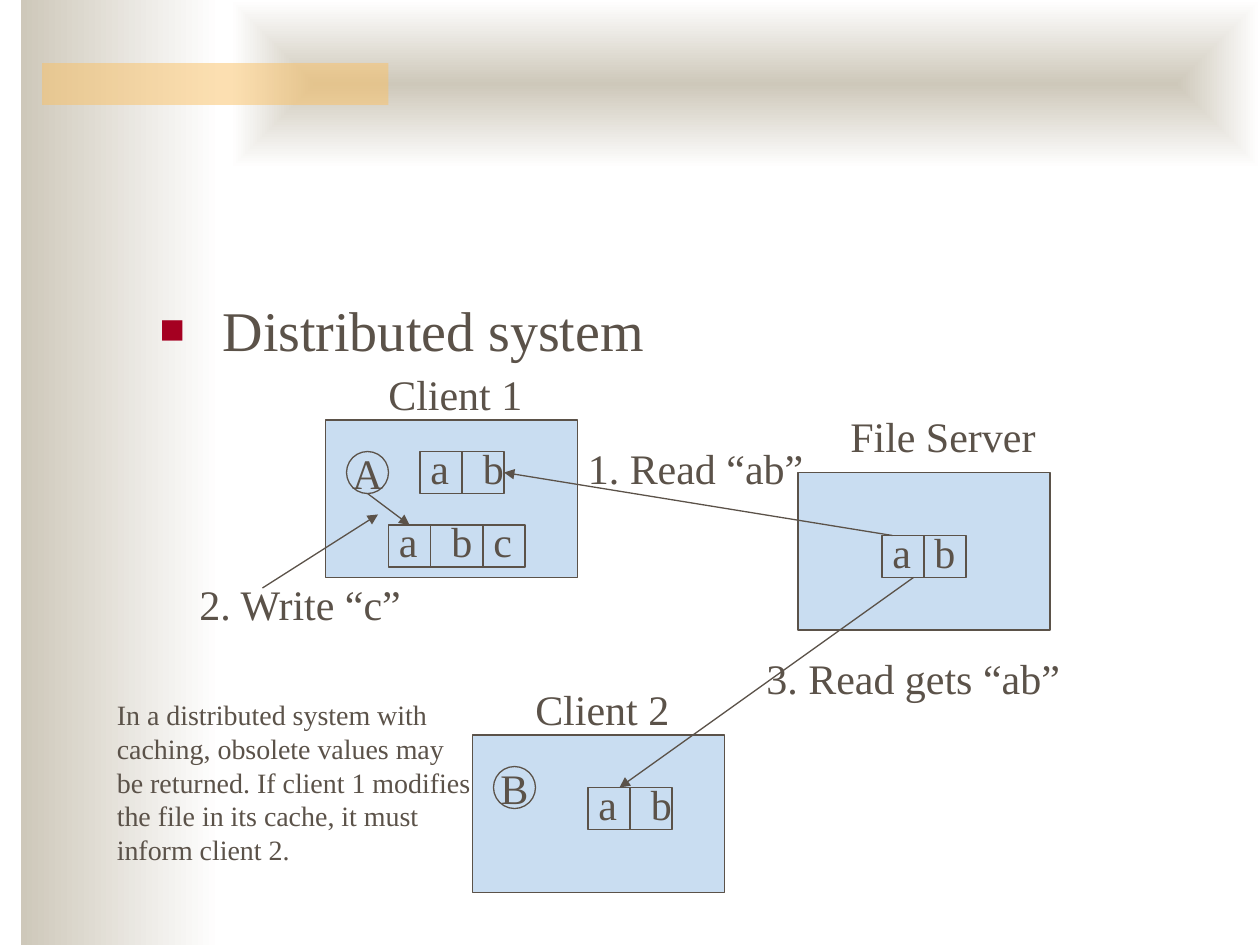
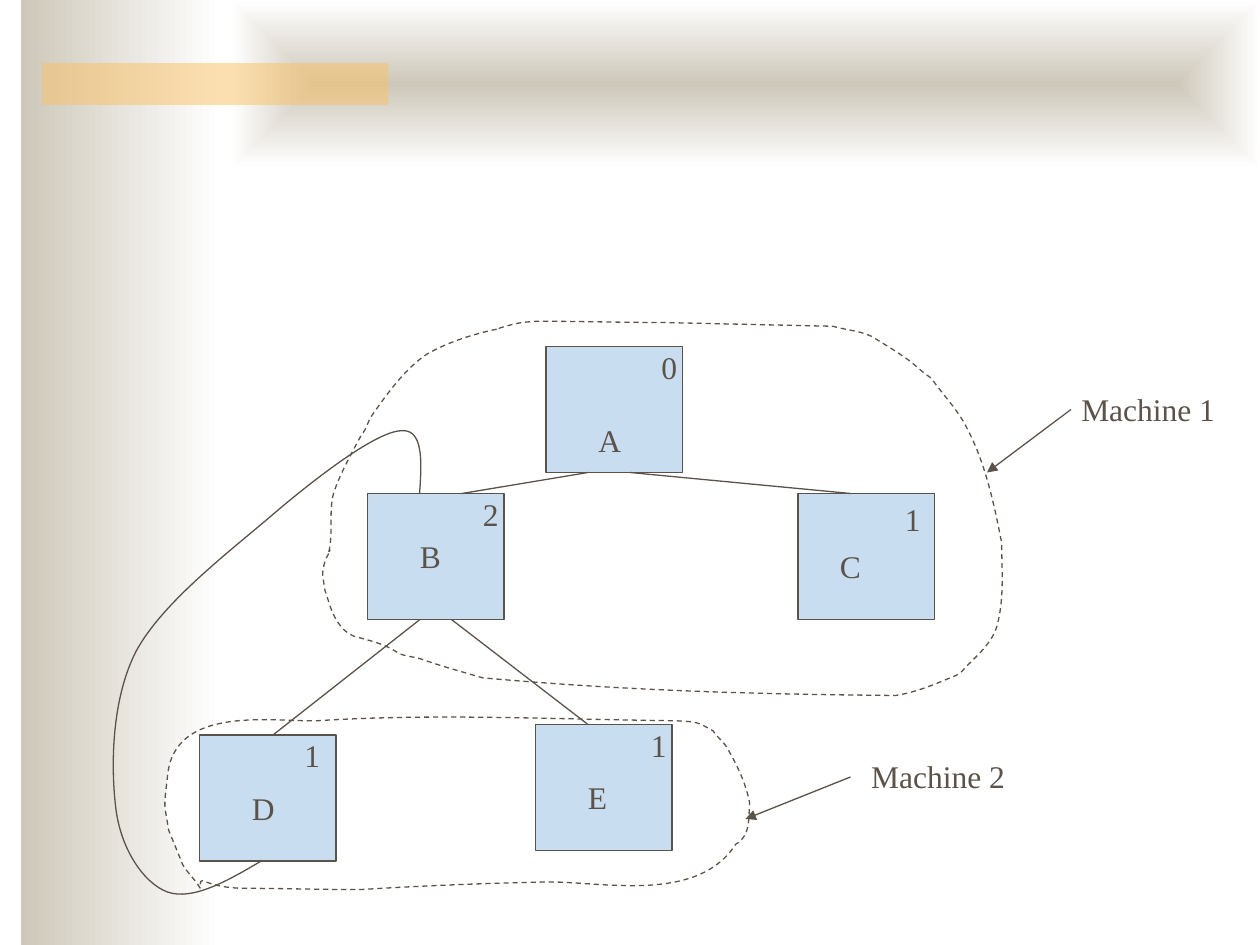
from dataclasses import dataclass

from lxml.etree import SubElement
from pptx import Presentation
from pptx.dml.color import RGBColor
from pptx.enum.dml import MSO_LINE
from pptx.enum.shapes import MSO_CONNECTOR, MSO_SHAPE
from pptx.enum.text import MSO_ANCHOR, MSO_AUTO_SIZE, PP_ALIGN
from pptx.oxml.ns import qn
from pptx.util import Inches, Pt


@dataclass(frozen=True)
class Theme:
    """Colours, font and type sizes of the deck."""
    ink: str = "5B5249"
    box: str = "C9DDF1"
    paper: str = "FFFFFF"
    band: str = "CEC8BA"
    accent: str = "FAC164"
    bullet: str = "A50021"
    font: str = "Times New Roman"
    heading: int = 32
    label: int = 24
    node: int = 18
    note: int = 16
    line: float = 0.75


THEME = Theme()
CELLS_PER_INCH = 12
HUNDREDTH = 9144

MACHINE_1 = [
    (261, 438), (265, 421), (260, 403), (266, 388), (270, 376), (281, 356), (287, 345),
    (291, 341), (292, 334), (295, 330), (307, 313), (321, 293), (339, 281),
    (355, 272), (373, 266), (391, 262), (406, 259), (386, 263), (405, 258),
    (411, 256), (423, 255), (428, 255), (460, 255), (493, 256), (525, 256),
    (570, 257), (661, 259), (661, 259), (671, 262), (687, 263), (695, 269),
    (703, 274), (710, 278), (717, 283), (725, 288), (731, 295), (739, 300),
    (748, 313), (760, 325), (767, 339), (782, 367), (789, 400), (795, 431),
    (795, 452), (797, 473), (792, 494), (789, 508), (779, 517), (769, 527),
    (765, 530), (764, 534), (759, 536), (742, 543), (729, 549), (711, 552),
    (595, 551), (495, 548), (383, 538), (366, 533), (351, 529), (334, 523),
    (328, 521), (319, 521), (314, 517), (305, 511), (292, 508), (281, 505),
    (270, 501), (264, 488), (261, 478), (260, 475), (258, 469), (258, 469),
    (256, 455), (255, 457), (258, 445), (258, 444), (265, 433), (261, 438)]
MACHINE_2 = [
    (159, 705), (155, 698), (149, 693), (145, 686), (141, 676), (138, 669), (134, 659),
    (130, 635), (130, 643), (133, 616), (138, 559), (216, 573), (252, 572),
    (346, 566), (441, 571), (536, 572), (555, 573), (553, 573), (566, 580),
    (569, 585), (575, 589), (578, 595), (586, 609), (592, 622), (595, 637),
    (594, 650), (596, 663), (584, 670), (553, 718), (476, 699), (433, 700),
    (384, 701), (335, 703), (286, 706), (255, 706), (223, 705), (192, 705),
    (159, 704), (159, 692), (159, 705)]
BACK_LINK = [
    (208, 683), (181, 699), (153, 715), (133, 708), (114, 701), (96, 674), (92, 642),
    (88, 610), (88, 556), (108, 517), (129, 478), (182, 438), (217, 408),
    (251, 379), (297, 344), (317, 342), (336, 339), (335, 365), (333, 392)]


def cells(*values):
    """Turn grid cells into lengths."""
    return [Inches(v / CELLS_PER_INCH) for v in values]


def rgb(value):
    """Return a colour from its hex digits."""
    return RGBColor.from_string(value)


def style_text(tf, size):
    """Give all runs of a text frame the theme's font and colour."""
    for p in tf.paragraphs:
        for r in p.runs:
            r.font.name, r.font.size = THEME.font, Pt(size)
            r.font.color.rgb = rgb(THEME.ink)


def style_line(sp):
    """Draw a shape or connector with the theme's thin line."""
    sp.line.color.rgb = rgb(THEME.ink)
    sp.line.width = Pt(THEME.line)


def add_box(s, col, row, width, height, kind=MSO_SHAPE.RECTANGLE):
    """Add an outlined, filled shape on the grid."""
    sp = s.shapes.add_shape(kind, *cells(col, row, width, height))
    sp.shadow.inherit = False
    sp.fill.solid()
    sp.fill.fore_color.rgb = rgb(THEME.box)
    style_line(sp)
    return sp


def add_label(s, text, col, row, width=4.4, size=THEME.label):
    """Add a text box that is raised in step with its type size."""
    rise = (size - 15) / 6 - 0.05
    height = size / 4 if "\n" not in text else 17.3
    sp = s.shapes.add_textbox(*cells(col - 0.2, row - rise, width, height))
    tf = sp.text_frame
    tf.text = text
    tf.word_wrap = False
    tf.auto_size = MSO_AUTO_SIZE.SHAPE_TO_FIT_TEXT
    style_text(tf, size)


def add_line(s, start, end, arrow=False):
    """Connect two grid points, with an arrowhead at the end if asked."""
    sp = s.shapes.add_connector(MSO_CONNECTOR.STRAIGHT, *cells(*start, *end))
    style_line(sp)
    spPr = sp.element.spPr
    if arrow:
        SubElement(spPr.find(qn("a:ln")), qn("a:tailEnd"), type="triangle")
    SubElement(spPr, qn("a:effectLst"))


def add_curve(s, points, closed=False):
    """Add a Bézier outline from a start point and control point triples."""
    builder = s.shapes.build_freeform(*points[0], scale=HUNDREDTH)
    builder.add_line_segments(points[1:], close=closed)
    sp = builder.convert_to_shape()
    sp.shadow.inherit = False
    style_line(sp)
    if closed:
        sp.fill.solid()
        sp.fill.fore_color.rgb = rgb(THEME.paper)
        sp.line.dash_style = MSO_LINE.DASH
    else:
        sp.fill.background()
    segments = list(sp.element.iter(qn("a:lnTo")))
    for i in range(0, len(segments), 3):
        first, *rest = segments[i:i + 3]
        first.tag = qn("a:cubicBezTo")
        for segment in rest:
            first.append(segment[0])
            segment.getparent().remove(segment)


def add_strip(s, col, row, width, dividers, letters):
    """Add a row of file blocks with letters at the given offsets."""
    add_box(s, col, row, width, 4)
    for x in dividers:
        add_line(s, (col + x, row), (col + x, row + 4))
    for letter, x in letters.items():
        add_label(s, letter, col + x, row)


def add_process(s, name, col, row):
    """Add a process circle with its letter."""
    sp = add_box(s, col, row, 4, 4, MSO_SHAPE.FLOWCHART_CONNECTOR)
    tf = sp.text_frame
    tf.text = name
    tf.word_wrap = False
    tf.vertical_anchor = MSO_ANCHOR.MIDDLE
    tf.paragraphs[0].alignment = PP_ALIGN.CENTER
    style_text(tf, THEME.label)


def add_node(s, name, count, col, row, name_at, count_at):
    """Add a tree node with its name and reference count."""
    add_box(s, col, row, 13, 12)
    for text, (x, y) in ((name, name_at), (count, count_at)):
        add_label(s, text, col + x, row + y, size=THEME.node)


def decorate_master(prs, s):
    """Put the bands shared by all slides on the master."""
    areas = [(2, 0, 19, 90), (22, 0, 98, 16), (4, 6, 33, 4)]
    side, top, accent = bands = [add_box(s, *area) for area in areas]
    for sp in (side, top):
        sp.fill.gradient()
        sp.fill.gradient_angle = 0
        for stop, colour in zip(sp.fill.gradient_stops, (THEME.band, THEME.paper)):
            stop.color.rgb = rgb(colour)
    grad = top.element.spPr.find(qn("a:gradFill"))
    grad.remove(grad.find(qn("a:lin")))
    shade = SubElement(grad, qn("a:path"), {"path": "rect"})
    SubElement(shade, qn("a:fillToRect"), {edge: "50000" for edge in "ltrb"})
    accent.fill.fore_color.rgb = rgb(THEME.accent)
    colour = next(accent.element.spPr.iter(qn("a:srgbClr")))
    SubElement(colour, qn("a:alpha"), val="50000")
    tree = prs.slide_master.element.cSld.spTree
    for i, sp in enumerate(bands):
        sp.line.fill.background()
        sp.element.nvSpPr.cNvPr.set("id", str(101 + i))
        tree.insert(2 + i, sp.element)


def fill_body(body, text):
    """Place the body placeholder and write its one bulleted line."""
    body.left, body.top, body.width, body.height = cells(14, 27.5, 102, 54)
    tf = body.text_frame
    tf.text = text
    p = tf.paragraphs[0]
    pPr = p._p.get_or_add_pPr()
    pPr.set("marL", str(Inches(0.5)))
    pPr.set("indent", str(-Inches(0.5)))
    SubElement(SubElement(pPr, qn("a:buClr")), qn("a:srgbClr"), val=THEME.bullet)
    SubElement(pPr, qn("a:buSzPct"), val="75000")
    SubElement(pPr, qn("a:buChar"), char="■")
    p.space_before = Pt(0)
    style_text(tf, THEME.heading)


def build_caching(s):
    """Show how a client reads an obsolete file."""
    s.shapes.title.element.getparent().remove(s.shapes.title.element)
    fill_body(s.placeholders[1], "Distributed system")
    for col, row in ((76, 45), (31, 40), (45, 70)):
        add_box(s, col, row, 24, 15)
    add_strip(s, 40, 43, 8, [4], {"a": 0, "b": 5})
    add_strip(s, 37, 50, 13, [4, 9], {"a": 0, "b": 5, "c": 9})
    add_strip(s, 84, 51, 8, [4], {"a": 0, "b": 4})
    add_strip(s, 56, 75, 8, [4], {"a": 0, "b": 5})
    add_process(s, "A", 33, 43)
    add_process(s, "B", 47, 73)
    for start, end in (((85, 51), (48, 45)), ((35, 47), (39, 50)),
                       ((25, 56), (36, 49)), ((87, 55), (59, 75))):
        add_line(s, start, end, arrow=True)
    for label in (("Client 1", 36, 36, 15.6), ("Client 2", 50, 66, 15.6),
                  ("File Server", 80, 40, 20.6), ("1. Read “ab”", 55, 43, 23.4),
                  ("2. Write “c”", 18, 56, 22.4), ("3. Read gets “ab”", 72, 63, 30.8)):
        add_label(s, *label)
    note = ("In a distributed system with\ncaching, obsolete values may\n"
            "be returned. If client 1 modifies\nthe file in its cache, it must\n"
            "inform client 2.")
    add_label(s, note, 10.15, 66, 37, THEME.note)


def build_references(s):
    """Show reference counts of nodes spread over two machines."""
    add_curve(s, MACHINE_2, closed=True)
    add_curve(s, MACHINE_1, closed=True)
    for node in (("A", "0", 52, 33, (4, 7), (10, 0)),
                 ("B", "2", 35, 47, (4, 4), (10, 0)),
                 ("C", "1", 76, 47, (3, 5), (9.2, 0.5)),
                 ("D", "1", 19, 70, (4, 5), (9, 0)),
                 ("E", "1", 51, 69, (4, 5), (10, 0))):
        add_node(s, *node)
    for start, end in (((56, 45), (44, 47)), ((60, 45), (81, 47)),
                       ((40, 59), (26, 70)), ((43, 59), (56, 69))):
        add_line(s, start, end)
    add_curve(s, BACK_LINK)
    add_line(s, (102, 39), (94, 45), arrow=True)
    add_line(s, (81, 74), (71, 78), arrow=True)
    add_label(s, "Machine 1", 102, 37, 15.6, THEME.node)
    add_label(s, "Machine 2", 82, 72, 15.6, THEME.node)


def main():
    """Build and save the deck."""
    prs = Presentation()
    prs.slide_width, prs.slide_height = cells(120, 90)
    caching = prs.slides.add_slide(prs.slide_layouts[1])
    references = prs.slides.add_slide(prs.slide_layouts[6])
    decorate_master(prs, caching)
    build_caching(caching)
    build_references(references)
    prs.save("out.pptx")


if __name__ == "__main__":
    main()
